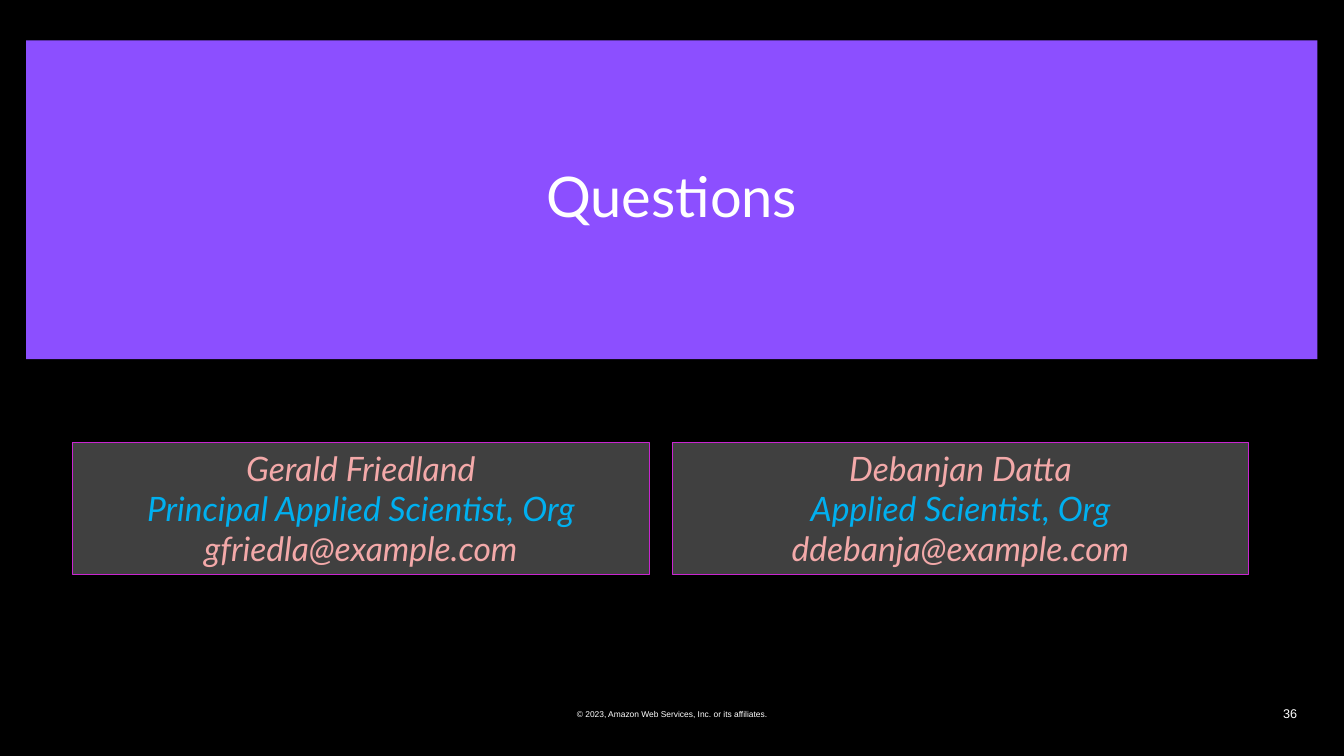
from pptx import Presentation
from pptx.dml.color import RGBColor
from pptx.enum import shapes, text
from pptx.util import Cm, Pt

TITLE = "Questions"
PEOPLE = [
    ("Gerald Friedland", "Principal Applied Scientist, Org", "gfriedla@example.com"),
    ("Debanjan Datta", "Applied Scientist, Org", "ddebanja@example.com"),
]
NOTICE = "© 2023, Amazon Web Services, Inc. or its affiliates."
NUMBER = "36"

THEME = {
    "back": "000000", "band": "8C4FFF", "card": "404040", "edge": "C925D1",
    "white": "FFFFFF", "pink": "F3A9A9", "blue": "00B0F0",
    "head": "Lato", "body": "Arial",
    "title": 40, "person": 24, "notice": 6, "number": 9,
}

WIDE, HIGH = 33.87, 19.05
BAND = (0.66, 1.02, 32.54, 8.03)
CARD_X, CARD_Y, CARD_W, CARD_H, GAP = 1.83, 11.15, 14.53, 3.33, 0.58
FOOT_Y, FOOT_H = 17.48, 1.02
NOTE_W = 11.43
NUM_X, NUM_W = 25.32, 7.62


def color(name):
    return RGBColor.from_string(THEME[name])


def block(slide, box, fill, edge=None):
    """Add a flat rectangle, outlined only when an edge colour is named."""
    shape = slide.shapes.add_shape(shapes.MSO_SHAPE.RECTANGLE, *map(Cm, box))
    shape.shadow.inherit = False
    shape.fill.solid()
    shape.fill.fore_color.rgb = color(fill)
    if edge:
        shape.line.color.rgb = color(edge)
        shape.line.width = Pt(0.75)
    else:
        shape.line.fill.background()
    return shape


def write(shape, lines, size, face, align="CENTER", anchor="MIDDLE", **style):
    """Fill a shape with (words, colour) lines, one paragraph each."""
    frame = shape.text_frame
    frame.word_wrap = True
    frame.vertical_anchor = text.MSO_ANCHOR[anchor]
    for i, (words, tint) in enumerate(lines):
        para = frame.add_paragraph() if i else frame.paragraphs[0]
        para.alignment = text.PP_ALIGN[align]
        run = para.add_run()
        run.text = words
        font = {"size": Pt(THEME[size]), "name": THEME[face], **style}
        for key, value in font.items():
            setattr(run.font, key, value)
        run.font.color.rgb = color(tint)
    return frame


def main():
    deck = Presentation()
    deck.slide_width, deck.slide_height = Cm(WIDE), Cm(HIGH)
    slide = deck.slides.add_slide(deck.slide_layouts[6])
    slide.background.fill.solid()
    slide.background.fill.fore_color.rgb = color("back")

    band = block(slide, BAND, "band")
    title = write(band, [(TITLE, "white")], "title", "head")
    title.paragraphs[0].line_spacing = 0.9

    footers = [
        (NOTICE, (WIDE - NOTE_W) / 2, NOTE_W, "notice", "CENTER"),
        (NUMBER, NUM_X, NUM_W, "number", "RIGHT"),
    ]
    for words, left, width, size, align in footers:
        box = slide.shapes.add_textbox(*map(Cm, (left, FOOT_Y, width, FOOT_H)))
        write(box, [(words, "white")], size, "body", align)

    for i, person in enumerate(PEOPLE):
        left = CARD_X + i * (CARD_W + GAP)
        card = block(slide, (left, CARD_Y, CARD_W, CARD_H), "card", "edge")
        lines = zip(person, ("pink", "blue", "pink"))
        frame = write(card, lines, "person", "head", anchor="TOP", italic=True)
        frame.auto_size = text.MSO_AUTO_SIZE.SHAPE_TO_FIT_TEXT

    deck.save("out.pptx")


if __name__ == "__main__":
    main()
